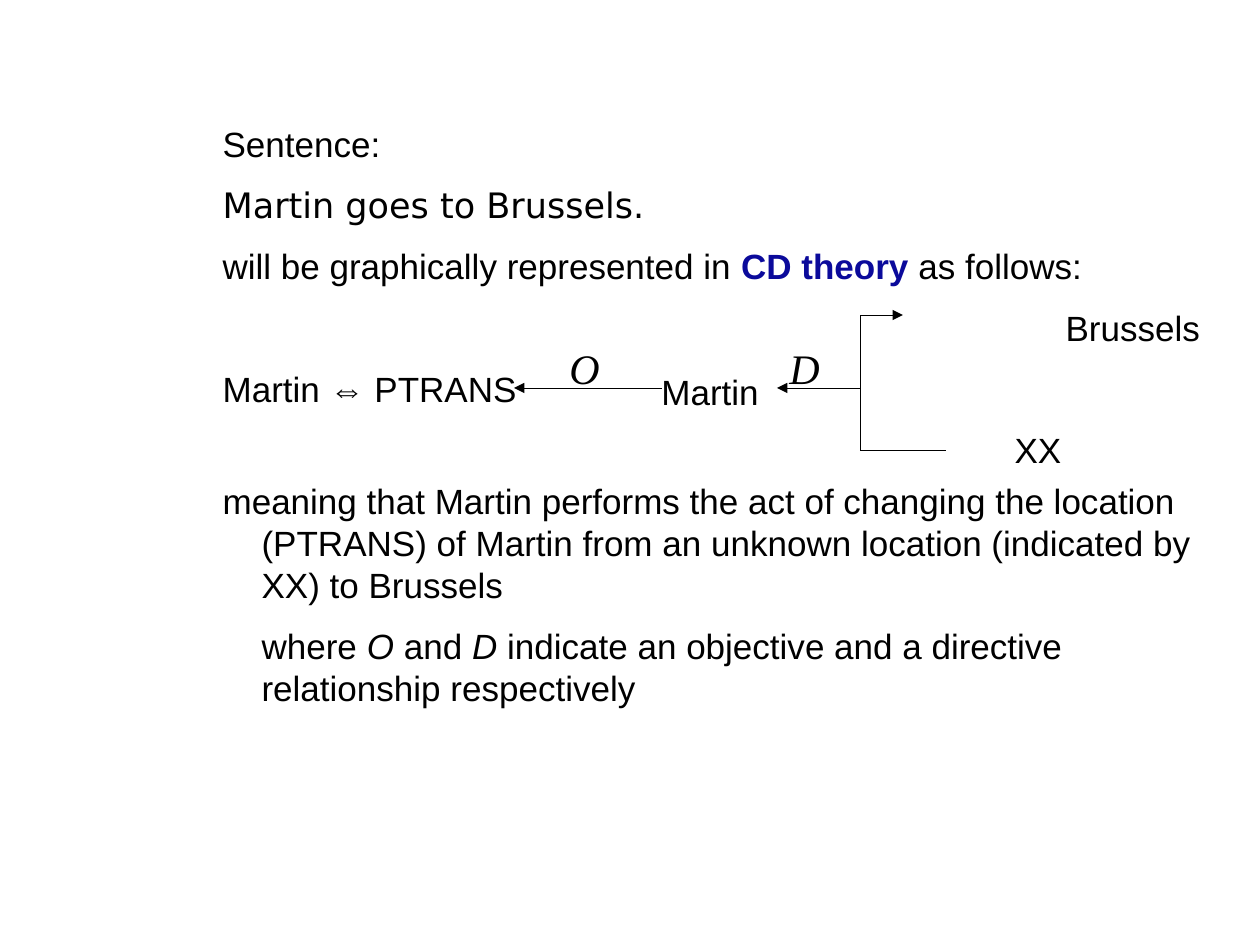
from lxml.etree import SubElement
from pptx import Presentation
from pptx.dml.color import RGBColor
from pptx.enum.shapes import MSO_CONNECTOR
from pptx.enum.text import MSO_ANCHOR, MSO_AUTO_SIZE, PP_ALIGN
from pptx.oxml.ns import qn
from pptx.util import Pt

PX = 914400 / 126
COLORS = {"ink": "000000", "accent": "0B0A9B", "paper": "FFFFFF"}
TRUNK_X, TOP_Y, MIDDLE_Y, BOTTOM_Y = 861, 315, 388, 451


def px(value):
    return round(value * PX)


def add_span(para, text, font="Arial", size=20, color="ink", bold=False, italic=False):
    span = para.add_run()
    span.text = text
    span.font.name = font
    span.font.size = Pt(size)
    span.font.bold = bold
    span.font.italic = italic
    span.font.color.rgb = RGBColor.from_string(COLORS[color])


def format_para(para, margin=102, indent=-39, after=6, align=PP_ALIGN.LEFT):
    para.alignment = align
    para.line_spacing = 1.0
    para.space_before = Pt(5)
    para.space_after = Pt(after)
    props = para._p.get_or_add_pPr()
    props.set("marL", str(px(margin)))
    props.set("indent", str(px(indent)))
    SubElement(props, qn("a:buNone"))


def fill_body(body):
    justified = {"align": PP_ALIGN.JUSTIFY}
    content = [
        ([("Sentence:", {})], justified),
        ([("Martin goes to Brussels.", {"font": "DejaVu Sans"})], justified),
        ([("will be graphically represented in ", {}),
          ("CD theory", {"color": "accent", "bold": True}),
          (" as follows:", {})], justified),
        ([("Brussels", {})], {"margin": 906, "indent": 0}),
        ([("Martin ⇔ PTRANS", {})], justified),
        ([("XX", {})], {"margin": 855, "indent": 0, "after": 0}),
        ([("meaning that Martin performs the act of changing the location (PTRANS) "
           "of Martin from an unknown location (indicated by XX) to Brussels", {})], {}),
        ([("where ", {}), ("O ", {"italic": True}), ("and ", {}),
          ("D", {"italic": True}),
          (" indicate an objective and a directive relationship respectively", {})],
         {"indent": 0}),
    ]
    body.left, body.top, body.width, body.height = map(px, (147, 116, 1071, 777))
    frame = body.text_frame
    frame.word_wrap = True
    frame.auto_size = MSO_AUTO_SIZE.NONE
    frame.vertical_anchor = MSO_ANCHOR.TOP
    for index, (spans, layout) in enumerate(content):
        para = frame.add_paragraph() if index else frame.paragraphs[0]
        format_para(para, **layout)
        for text, style in spans:
            add_span(para, text, **style)


def add_label(page, text, left, top, width=63, **style):
    box = page.shapes.add_textbox(px(left), px(top), px(width), px(63))
    box.text_frame.word_wrap = True
    add_span(box.text_frame.paragraphs[0], text, **style)


def add_line(page, start, end, arrow=False):
    line = page.shapes.add_connector(MSO_CONNECTOR.STRAIGHT, *map(px, start + end))
    line.line.color.rgb = RGBColor.from_string(COLORS["ink"])
    if arrow:
        SubElement(line.line._get_or_add_ln(), qn("a:tailEnd"), type="triangle")
    SubElement(line._element.spPr, qn("a:effectLst"))
    line._element.remove(line._element.find(qn("p:style")))


def main():
    deck = Presentation()
    deck.slide_width, deck.slide_height = px(1260), px(945)
    page = deck.slides.add_slide(deck.slide_layouts[1])
    page.background.fill.solid()
    page.background.fill.fore_color.rgb = RGBColor.from_string(COLORS["paper"])
    title = page.shapes.title._element
    title.getparent().remove(title)
    fill_body(page.placeholders[1])

    relation = {"font": "Times New Roman", "size": 24, "italic": True}
    add_line(page, (945, BOTTOM_Y), (TRUNK_X, BOTTOM_Y))
    add_line(page, (TRUNK_X, TOP_Y), (903, TOP_Y), arrow=True)
    add_line(page, (TRUNK_X, BOTTOM_Y), (TRUNK_X, TOP_Y))
    add_label(page, "O", 557, 336, **relation)
    add_label(page, "D", 777, 336, **relation)
    add_label(page, "Martin", 649, 364, width=126)
    add_line(page, (662, MIDDLE_Y), (514, MIDDLE_Y), arrow=True)
    add_line(page, (TRUNK_X, MIDDLE_Y), (777, MIDDLE_Y), arrow=True)
    deck.save("out.pptx")


if __name__ == "__main__":
    main()
